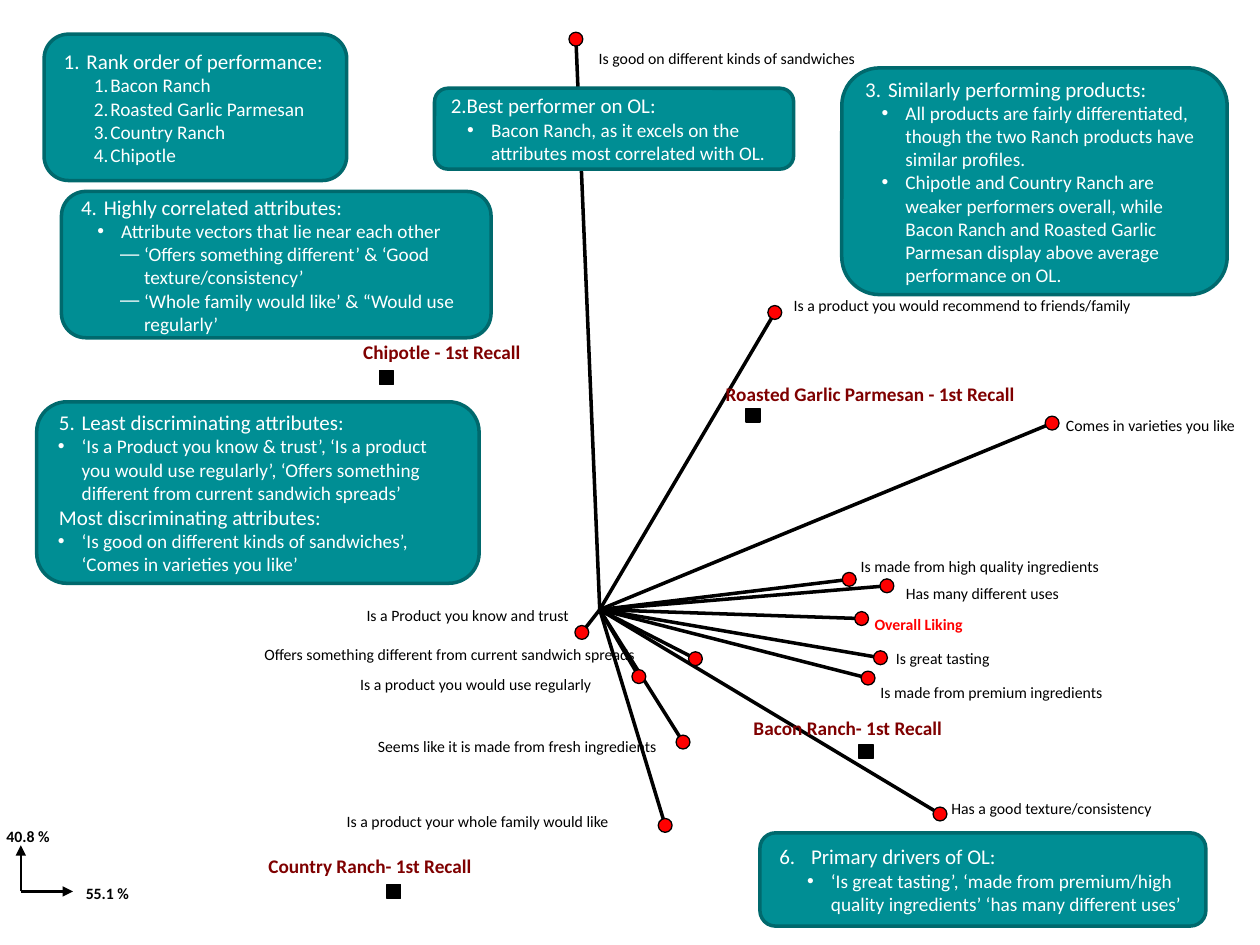
from lxml.etree import SubElement
from pptx import Presentation
from pptx.dml.color import RGBColor
from pptx.enum.shapes import MSO_CONNECTOR, MSO_SHAPE
from pptx.enum.text import MSO_ANCHOR, MSO_AUTO_SIZE, PP_ALIGN
from pptx.oxml.ns import qn
from pptx.util import Cm, Pt


def color(hex_string):
    return RGBColor.from_string(hex_string)


def set_format(paragraph, values):
    paragraph.font.name = "Calibri"
    paragraph.font.color.rgb = color(values["color"])
    for name in ("size", "bold"):
        setattr(paragraph.font, name, values[name])


presentation = Presentation()
presentation.slide_width, presentation.slide_height = Cm(25.4), Cm(19.05)
slide = presentation.slides.add_slide(presentation.slide_layouts[6])

attribute_format = {"size": Pt(9), "bold": False, "color": "000000"}
axis_format = {**attribute_format, "bold": True}
liking_format = {**axis_format, "color": "FF0000"}
product_format = {"size": Pt(11), "bold": True, "color": "7F0000"}
heading_format = {"size": Pt(12), "bold": False, "color": "FFFFFF"}
detail_format = {**heading_format, "size": Pt(11)}

marker_size = 0.28
origin = (12.09, 12.29)

# Points on the map: label, marker centre, label left, top, width
products = [
    ("Country Ranch- 1st Recall", (7.94, 17.97), (5.41, 17.22, 4.72)),
    ("Bacon Ranch- 1st Recall", (17.46, 15.15), (15.19, 14.43, 4.47)),
    ("Roasted Garlic Parmesan - 1st Recall", (15.18, 8.37), (14.63, 7.7, 6.63)),
    ("Chipotle - 1st Recall", (7.79, 7.61), (7.32, 6.86, 3.66)),
]
attributes = [
    ("Overall Liking", (17.37, 12.47), (17.63, 12.4, 2.13)),
    ("Is a Product you know and trust", (11.73, 12.75), (7.39, 12.22, 4.45)),
    ("Offers something different from current sandwich spreads",
     (14.02, 13.28), (5.33, 13, 8.03)),
    ("Seems like it is made from fresh ingredients",
     (13.77, 14.96), (7.62, 14.86, 6.17)),
    ("Is a product you would use regularly", (12.88, 13.64), (7.26, 13.61, 5.11)),
    ("Is a product your whole family would like",
     (13.41, 16.64), (6.99, 16.36, 5.69)),
    ("Is good on different kinds of sandwiches",
     (11.61, 0.79), (12.07, 0.99, 5.66)),
    ("Is great tasting", (17.75, 13.26), (18.06, 13.08, 2.16)),
    ("Is made from high quality ingredients",
     (17.12, 11.68), (17.35, 11.23, 5.21)),
    ("Is made from premium ingredients", (17.5, 13.67), (17.75, 13.77, 4.85)),
    ("Comes in varieties you like", (21.21, 8.53), (21.49, 8.38, 3.84)),
    ("Has a good texture/consistency", (18.95, 16.41), (19.18, 16.1, 4.5)),
    ("Has many different uses", (17.88, 11.81), (18.26, 11.76, 3.51)),
    ("Is a product you would recommend to friends/family",
     (15.62, 6.3), (16, 5.97, 7.24)),
]
axis_corner = (0.42, 17.97)
axes = [
    ("55.1 %", (1.47, 17.97), (1.73, 17.81, 1.09)),
    ("40.8 %", (0.42, 17.04), (0.13, 16.66, 1.09)),
]

# Attribute vectors and axis arrows
lines = [(origin, tip, 0) for _, tip, _ in attributes]
lines += [(axis_corner, tip, 1.25) for _, tip, _ in axes]
for start, end, width in lines:
    connector = slide.shapes.add_connector(
        MSO_CONNECTOR.STRAIGHT, *[Cm(value) for value in start + end])
    connector.line.color.rgb = color("000000")
    connector.line.width = Pt(width)
    properties = connector._element.spPr
    if width:
        SubElement(properties.find(qn("a:ln")), qn("a:tailEnd"),
                   type="triangle", w="med", len="med")
    SubElement(properties, qn("a:effectLst"))

# Markers
markers = [(MSO_SHAPE.RECTANGLE, "000000", centre) for _, centre, _ in products]
markers += [(MSO_SHAPE.OVAL, "FF0000", centre) for _, centre, _ in attributes]
for kind, fill, (x, y) in markers:
    marker = slide.shapes.add_shape(
        kind, Cm(x - marker_size / 2), Cm(y - marker_size / 2),
        Cm(marker_size), Cm(marker_size))
    marker.shadow.inherit = False
    marker.fill.solid()
    marker.fill.fore_color.rgb = color(fill)
    marker.line.color.rgb = color("000000")
    marker.line.width = Pt(0)

# Labels
label_groups = [
    (products, product_format, 0.5),
    (attributes[:1], liking_format, 0.4),
    (attributes[1:], attribute_format, 0.4),
    (axes, axis_format, 0.45),
]
for points, text_format, height in label_groups:
    for text, _, (left, top, width) in points:
        label = slide.shapes.add_textbox(Cm(left), Cm(top), Cm(width), Cm(height))
        frame_values = {
            "margin_left": 0, "margin_top": 0, "margin_right": 0,
            "margin_bottom": 0, "word_wrap": False,
            "auto_size": MSO_AUTO_SIZE.SHAPE_TO_FIT_TEXT,
        }
        for name, value in frame_values.items():
            setattr(label.text_frame, name, value)
        paragraph = label.text_frame.paragraphs[0]
        paragraph.text = text
        set_format(paragraph, text_format)

# Callouts: box, then paragraphs of level, left indent, hanging, bullet, text
# A number as bullet is the start of an automatic numbering
callouts = [
    ((0.89, 0.69, 6.1, 2.95), [
        (0, 0.46, 0.46, 1, "Rank order of performance:"),
        (1, 0.94, 0.33, 1, "Bacon Ranch"),
        (1, 0.94, 0.33, 1, "Roasted Garlic Parmesan"),
        (1, 0.94, 0.33, 1, "Country Ranch"),
        (1, 0.94, 0.33, 1, "Chipotle")]),
    ((8.76, 1.78, 7.24, 1.63), [
        (0, 0.3, 0.3, 2, "Best performer on OL:"),
        (1, 0.81, 0.48, "•", "Bacon Ranch, as it excels on the attributes most "
         "correlated with OL.")]),
    ((16.97, 1.37, 7.77, 4.57), [
        (0, 0.46, 0.46, 3, "Similarly performing products:"),
        (1, 0.81, 0.48, "•", "All products are fairly differentiated, though the "
         "two Ranch products have similar profiles."),
        (1, 0.81, 0.48, "•", "Chipotle and Country Ranch are weaker performers "
         "overall, while Bacon Ranch and Roasted Garlic Parmesan display above "
         "average performance on OL.")]),
    ((1.24, 3.86, 8.66, 2.95), [
        (0, 0.46, 0.46, 4, "Highly correlated attributes:"),
        (1, 0.81, 0.48, "•", "Attribute vectors that lie near each other"),
        (2, 1.27, 0.48, "—", "‘Offers something different’ & ‘Good "
         "texture/consistency’"),
        (2, 1.27, 0.48, "—", "‘Whole family would like’ & “Would use "
         "regularly’")]),
    ((0.74, 8.1, 8.92, 3.66), [
        (0, 0.48, 0.46, 5, "Least discriminating attributes:"),
        (1, 0.48, 0.48, "•", "‘Is a Product you know & trust’, ‘Is a product you "
         "would use regularly’, ‘Offers something different from current "
         "sandwich spreads’"),
        (0, 0.48, 0.46, None, "Most discriminating attributes:"),
        (1, 0.48, 0.48, "•", "‘Is good on different kinds of sandwiches’, ‘Comes "
         "in varieties you like’")]),
    ((15.32, 16.79, 8.99, 1.88), [
        (0, 0.69, 0.64, 6, "Primary drivers of OL:"),
        (1, 1.09, 0.48, "•", "‘Is great tasting’, ‘made from premium/high "
         "quality ingredients’ ‘has many different uses’")]),
]
for box, items in callouts:
    callout = slide.shapes.add_shape(
        MSO_SHAPE.ROUNDED_RECTANGLE, *[Cm(value) for value in box])
    callout.shadow.inherit = False
    callout.fill.solid()
    callout.fill.fore_color.rgb = color("008E94")
    callout.line.color.rgb = color("00696D")
    callout.line.width = Pt(2)
    frame = callout.text_frame
    frame.word_wrap = True
    frame.vertical_anchor = MSO_ANCHOR.MIDDLE
    for index, (level, indent, hanging, bullet, text) in enumerate(items):
        paragraph = frame.add_paragraph() if index else frame.paragraphs[0]
        paragraph.text = text
        paragraph.level = level
        paragraph.alignment = PP_ALIGN.LEFT
        properties = paragraph._p.get_or_add_pPr()
        properties.set("marL", str(Cm(indent)))
        properties.set("indent", str(-Cm(hanging)))
        if isinstance(bullet, int):
            SubElement(properties, qn("a:buAutoNum"),
                       type="arabicPeriod", startAt=str(bullet))
        elif bullet:
            SubElement(properties, qn("a:buFont"), typeface="Arial")
            SubElement(properties, qn("a:buChar"), char=bullet)
        set_format(paragraph, detail_format if level else heading_format)

presentation.save("out.pptx")
